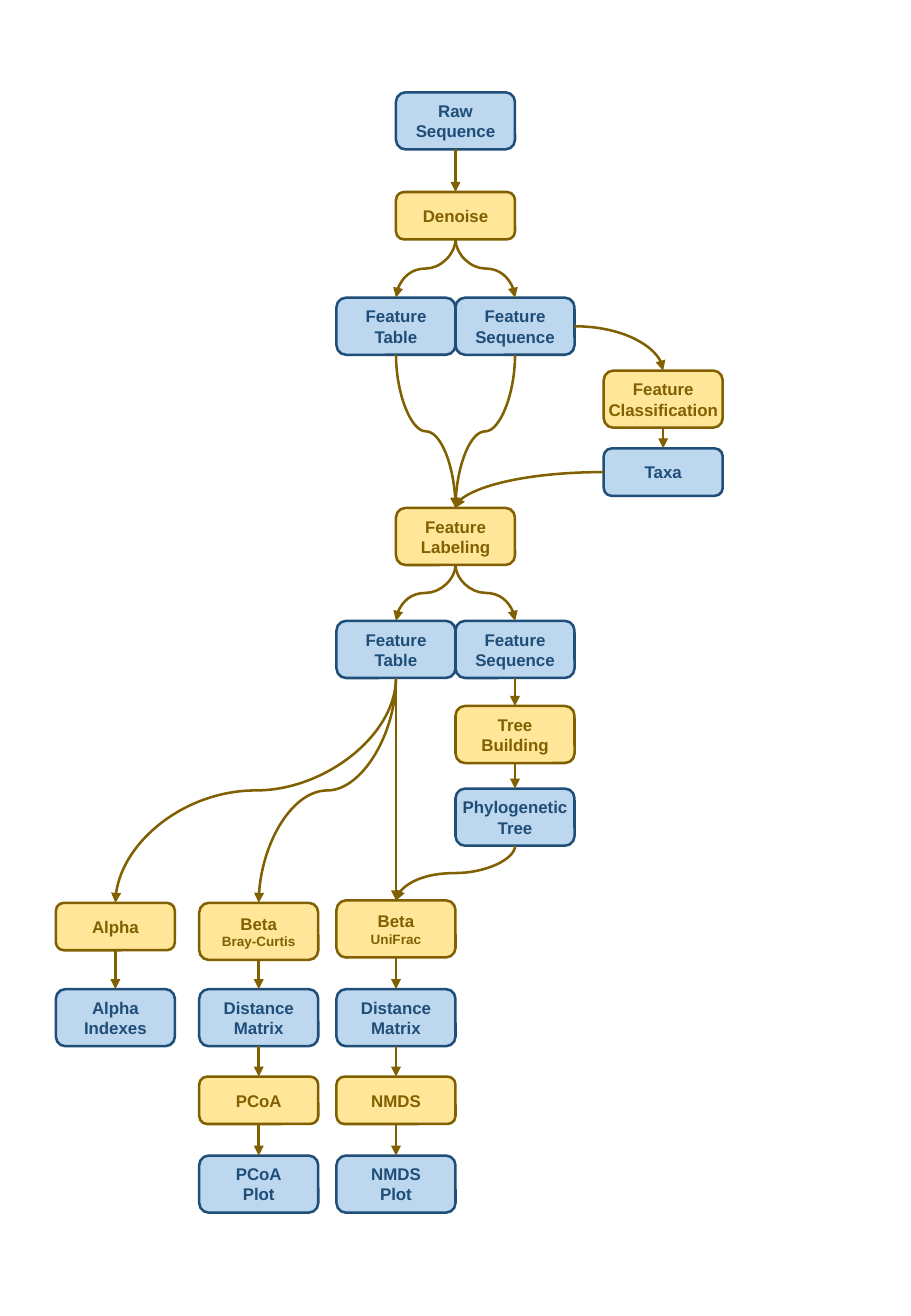
from pptx import Presentation
from pptx.dml.color import RGBColor
from pptx.enum import shapes, text
from pptx.oxml.ns import qn
from pptx.oxml.xmlchemy import OxmlElement
from pptx.util import Inches, Pt

BLUE, NAVY = "BDD7EE", "1F4E79"
GOLD, BROWN = "FFE699", "806000"
WIDE = 0.98
TALL = {1: 0.39, 2: 0.47}
LOOK = {"data": (BLUE, NAVY), "step": (GOLD, BROWN)}
COLS = {"alpha": 0.46, "bray": 1.64, "table": 2.77, "main": 3.26, "seq": 3.75, "taxa": 4.97}

BOXES = {
    "raw": ("data", "main", 0.76, ["Raw", "Sequence"]),
    "denoise": ("step", "main", 1.58, ["Denoise"]),
    "table": ("data", "table", 2.45, ["Feature", "Table"]),
    "seq": ("data", "seq", 2.45, ["Feature", "Sequence"]),
    "class": ("step", "taxa", 3.05, ["Feature", "Classification"]),
    "taxa": ("data", "taxa", 3.69, ["Taxa"]),
    "label": ("step", "main", 4.18, ["Feature", "Labeling"]),
    "table 2": ("data", "table", 5.11, ["Feature", "Table"]),
    "seq 2": ("data", "seq", 5.11, ["Feature", "Sequence"]),
    "build": ("step", "seq", 5.81, ["Tree", "Building"]),
    "tree": ("data", "seq", 6.49, ["Phylogenetic", "Tree"]),
    "alpha": ("step", "alpha", 7.43, ["Alpha"]),
    "bray": ("step", "bray", 7.43, ["Beta", "Bray-Curtis"]),
    "unifrac": ("step", "table", 7.41, ["Beta", "UniFrac"]),
    "index": ("data", "alpha", 8.14, ["Alpha", "Indexes"]),
    "matrix": ("data", "bray", 8.14, ["Distance", "Matrix"]),
    "matrix 2": ("data", "table", 8.14, ["Distance", "Matrix"]),
    "pcoa": ("step", "bray", 8.86, ["PCoA"]),
    "nmds": ("step", "table", 8.86, ["NMDS"]),
    "pcoa plot": ("data", "bray", 9.51, ["PCoA", "Plot"]),
    "nmds plot": ("data", "table", 9.51, ["NMDS", "Plot"]),
}
PAIRS = [("table", "seq"), ("table 2", "seq 2")]
SMALL = {"Bray-Curtis", "UniFrac"}
TOP, LEFT, BOTTOM, RIGHT = range(4)
SIDES = {("seq", "class"): RIGHT, ("taxa", "label"): LEFT}
FLOWS = [
    ("raw", "denoise"), ("denoise", "table"), ("denoise", "seq"),
    ("seq", "class"), ("class", "taxa"), ("table", "label"),
    ("seq", "label"), ("taxa", "label"), ("label", "table 2"),
    ("label", "seq 2"), ("seq 2", "build"), ("build", "tree"),
    ("table 2", "alpha"), ("table 2", "bray"), ("table 2", "unifrac"),
    ("tree", "unifrac"), ("alpha", "index"), ("bray", "matrix"),
    ("unifrac", "matrix 2"), ("matrix", "pcoa"), ("matrix 2", "nmds"),
    ("pcoa", "pcoa plot"), ("nmds", "nmds plot"),
]


def color(code):
    return RGBColor.from_string(code)


def add_box(home, kind, col, top, lines):
    fill, ink = LOOK[kind]
    box = home.add_shape(shapes.MSO_SHAPE.ROUNDED_RECTANGLE, Inches(COLS[col]),
                         Inches(top), Inches(WIDE), Inches(TALL[len(lines)]))
    box.shadow.inherit = False
    box.fill.solid()
    box.fill.fore_color.rgb = color(fill)
    box.line.color.rgb = color(ink)
    box.line.width = Pt(1.5)
    frame = box.text_frame
    frame.word_wrap = True
    frame.vertical_anchor = text.MSO_ANCHOR.MIDDLE
    frame.margin_left = frame.margin_right = frame.margin_top = frame.margin_bottom = 0
    para = frame.paragraphs[0]
    para.alignment = text.PP_ALIGN.CENTER
    font = para.font
    font.name, font.size, font.bold = "Arial", Pt(10), True
    font.color.rgb = color(ink)
    for i, line in enumerate(lines):
        if i:
            para.add_line_break()
        run = para.add_run()
        run.text = line
        if line in SMALL:
            run.font.size = Pt(8)
    return box


def turn(link, dx, dy):
    midx = (link.begin_x + link.end_x) // 2
    midy = (link.begin_y + link.end_y) // 2
    link.width, link.height = dy, abs(dx)
    link.left, link.top = midx - dy // 2, midy - abs(dx) // 2
    frame = link.element.spPr.find(qn("a:xfrm"))
    frame.set("rot", str((270 if dx > 0 else 90) * 60000))
    frame.set("flipH", "1" if dx > 0 else "0")


def add_flow(home, start, end, side):
    dx = end.left - start.left
    kind = shapes.MSO_CONNECTOR.CURVE if dx else shapes.MSO_CONNECTOR.STRAIGHT
    link = home.add_connector(kind, 0, 0, 0, 0)
    link.begin_connect(start, side)
    link.end_connect(end, TOP)
    link.line.color.rgb = color(BROWN)
    link.line.width = Pt(1.5)
    tail = OxmlElement("a:tailEnd")
    tail.set("type", "triangle")
    link.line._get_or_add_ln().append(tail)
    props = link.element.spPr
    props.append(OxmlElement("a:effectLst"))
    if side != BOTTOM:
        props.find(qn("a:prstGeom")).set("prst", "curvedConnector2")
    elif dx:
        turn(link, dx, link.end_y - link.begin_y)


deck = Presentation()
deck.slide_width, deck.slide_height = Inches(7.5), Inches(10.83)
slide = deck.slides.add_slide(deck.slide_layouts[6])
homes = {}
for pair in PAIRS:
    group = slide.shapes.add_group_shape()
    homes.update({name: group.shapes for name in pair})
made = {name: add_box(homes.get(name, slide.shapes), *data)
        for name, data in BOXES.items()}
for start, end in FLOWS:
    add_flow(slide.shapes, made[start], made[end], SIDES.get((start, end), BOTTOM))
deck.save("out.pptx")
